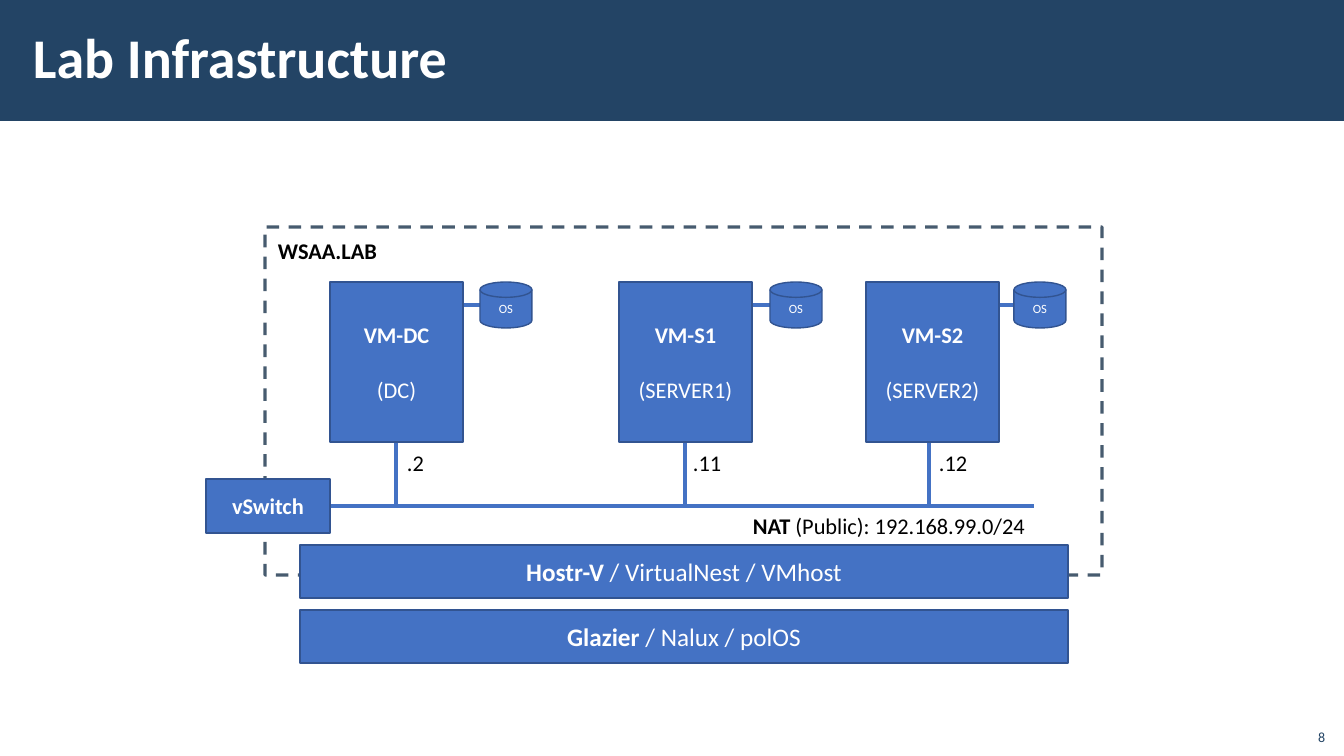
from lxml.etree import SubElement
from pptx import Presentation
from pptx.dml.color import RGBColor
from pptx.enum.dml import MSO_LINE
from pptx.enum.shapes import MSO_CONNECTOR, MSO_SHAPE
from pptx.enum.text import MSO_ANCHOR, PP_ALIGN
from pptx.oxml.ns import qn
from pptx.util import Emu, Pt

COLORS = {
    "navy": "234465",
    "frame": "1A334C",
    "blue": "4472C4",
    "edge": "325491",
    "white": "FFFFFF",
    "black": "000000",
}
PX = 914400 / 100.8
FONT = "Calibri"


def px(*lengths):
    return [Emu(round(length * PX)) for length in lengths]


def color(name):
    return RGBColor.from_string(COLORS[name])


def write(para, spans, size, ink, align=PP_ALIGN.LEFT):
    para.alignment = align
    para.font.name = FONT
    para.font.size = Pt(size)
    para.font.color.rgb = color(ink)
    for text, bold in spans:
        span = para.add_run()
        span.text = text
        span.font.bold = bold


def add_block(page, kind, box, fill="blue", edge="edge", width=1):
    shape = page.shapes.add_shape(kind, *px(*box))
    shape.shadow.inherit = False
    if fill:
        shape.fill.solid()
        shape.fill.fore_color.rgb = color(fill)
    else:
        shape.fill.background()
    if edge:
        shape.line.color.rgb = color(edge)
        shape.line.width = Pt(width)
    else:
        shape.line.fill.background()
    shape.text_frame.vertical_anchor = MSO_ANCHOR.MIDDLE
    return shape


def add_text_block(page, box, spans, size, kind=MSO_SHAPE.RECTANGLE):
    shape = add_block(page, kind, box)
    write(shape.text_frame.paragraphs[0], spans, size, "white", PP_ALIGN.CENTER)
    return shape


def add_label(page, box, spans):
    label = page.shapes.add_textbox(*px(*box))
    label.text_frame.word_wrap = False
    write(label.text_frame.paragraphs[0], spans, 16, "black")


def add_wire(page, start, end, width=2.25):
    wire = page.shapes.add_connector(MSO_CONNECTOR.STRAIGHT, *px(*start, *end))
    wire.line.color.rgb = color("blue")
    wire.line.width = Pt(width)
    SubElement(wire.element.spPr, qn("a:effectLst"))


def add_header(page, box):
    left, top, width, height = box
    title = page.shapes.title
    title.left, title.top, title.width, title.height = px(left + 21, top + 11, 1072, 98)
    frame = title.text_frame
    frame.vertical_anchor = MSO_ANCHOR.MIDDLE
    frame.margin_left, frame.margin_right = px(12, 12)
    frame.margin_top, frame.margin_bottom = px(4, 4)
    para = frame.paragraphs[0]
    write(para, [("Lab Infrastructure", True)], 40, "white")
    para.line_spacing = 0.9
    band = add_block(page, MSO_SHAPE.RECTANGLE, box, "navy", None)
    title.element.addprevious(band.element)


def add_domain(page, box, name):
    left, top, width, height = box
    frame = add_block(page, MSO_SHAPE.RECTANGLE, box, None, "frame", 2.25)
    frame.line.dash_style = MSO_LINE.DASH
    shade = frame.line.color._xFill.find(qn("a:srgbClr"))
    SubElement(shade, qn("a:alpha"), val="80000")
    add_label(page, (left + 3, top + 5, 121, 37), [(name, True)])


def add_host_layers(page, box, layers, gap):
    left, top, width, height = box
    layer_height = (height - gap * (len(layers) - 1)) // len(layers)
    for index, (first, others) in enumerate(layers):
        layer_top = top + index * (layer_height + gap)
        spans = [(first, True), (others, False)]
        add_text_block(page, (left, layer_top, width, layer_height), spans, 18)


def add_network(page, box):
    left, top, width, height = box
    middle = top + height // 2
    add_wire(page, (left + 124, middle), (left + width, middle), 3)
    add_text_block(page, (left, top, 124, height), [("vSwitch", True)], 16)
    add_label(page, (left + 537, middle + 1, 297, 37),
              [("NAT ", True), ("(Public): 192.168.99.0/24", False)])


def add_machine(page, box, name, role, address, drop, disk_gap, label, bus):
    left, top, width, height = box
    right, bottom = left + width, top + height
    add_wire(page, (right + disk_gap, top + 23), (right, top + 23))
    add_wire(page, (left + drop, bus), (left + drop, bottom))
    machine = add_text_block(page, box, [(name, True)], 16)
    para = machine.text_frame.add_paragraph()
    write(para, [(role, False)], 16, "white", PP_ALIGN.CENTER)
    para.space_before = Pt(19.5)
    add_text_block(page, (right + disk_gap, top, 52, 46), [("OS", False)], 9,
                   MSO_SHAPE.FLOWCHART_MAGNETIC_DISK)
    label_left, label_width = label
    add_label(page, (left + label_left, bottom + 2, label_width, 37), [(address, False)])


def add_page_number(page, box, number):
    corner = page.shapes.add_textbox(*px(*box))
    corner.text_frame.word_wrap = True
    corner.text_frame.vertical_anchor = MSO_ANCHOR.BOTTOM
    write(corner.text_frame.paragraphs[0], [(number, False)], 10, "navy", PP_ALIGN.RIGHT)


def main():
    deck = Presentation()
    deck.slide_width, deck.slide_height = px(1344, 756)
    page = deck.slides.add_slide(deck.slide_layouts[5])
    add_header(page, (0, 0, 1344, 121))
    add_domain(page, (265, 227, 837, 348), "WSAA.LAB")
    layers = [("Hostr-V", " / VirtualNest / VMhost"), ("Glazier", " / Nalux / polOS")]
    add_host_layers(page, (300, 545, 768, 118), layers, 12)
    add_network(page, (206, 479, 828, 54))
    machines = [
        (330, "VM-DC", "(DC)", ".2", 66, 17, (67, 37)),
        (619, "VM-S1", "(SERVER1)", ".11", 66, 18, (64, 49)),
        (866, "VM-S2", "(SERVER2)", ".12", 63, 15, (63, 49)),
    ]
    for left, *details in machines:
        add_machine(page, (left, 282, 133, 160), *details, bus=507)
    add_page_number(page, (1295, 718, 40, 32), "8")
    deck.save("out.pptx")


if __name__ == "__main__":
    main()
